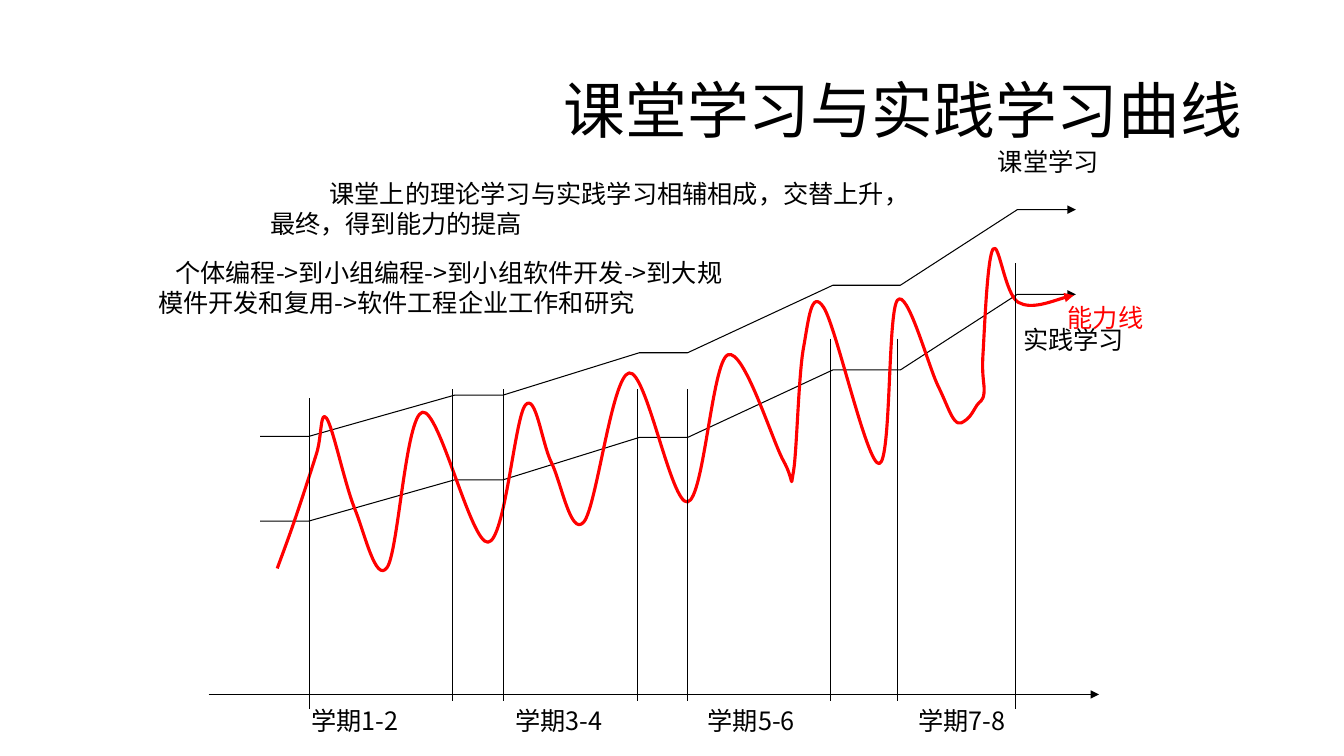
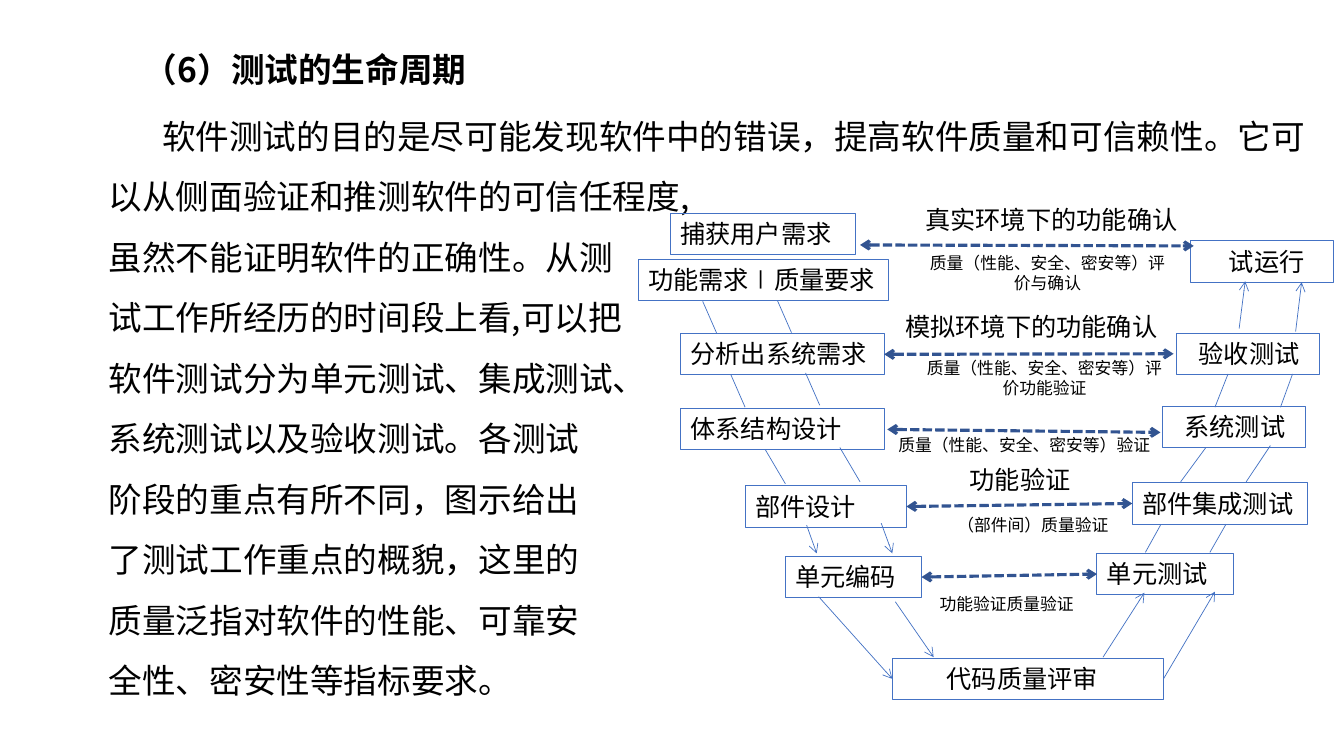
import pptx
import pptx.dml.color
import pptx.enum.dml
import pptx.enum.shapes
import pptx.enum.text
import pptx.oxml.ns
import pptx.util
from lxml import etree

Inches = pptx.util.Inches
Pt = pptx.util.Pt
qn = pptx.oxml.ns.qn
ALIGN = pptx.enum.text.PP_ALIGN
ANCHOR = pptx.enum.text.MSO_ANCHOR
COLORS = {"black": "000000", "red": "FF0000", "blue": "4472C4", "navy": "325491"}
FONT = "Noto Sans CJK SC"
RIGHT, LEFT = 3, 1


def rgb(name):
    return pptx.dml.color.RGBColor.from_string(COLORS[name])


def write(tf, text, size=18, color="black", bold=False, align=ALIGN.LEFT,
          spacing=None, margin=0, indent=0):
    """Fill tf with one paragraph per line; margin and indent apply to the first."""
    for i, line in enumerate(text.split("\n")):
        p = tf.paragraphs[0] if i == 0 else tf.add_paragraph()
        p.alignment = align
        if spacing:
            p.line_spacing = spacing
        if i == 0 and (margin or indent):
            pPr = p._p.get_or_add_pPr()
            pPr.set("marL", str(Inches(margin)))
            pPr.set("indent", str(Inches(indent)))
        r = p.add_run()
        r.text = line
        r.font.size = Pt(size)
        r.font.bold = bold
        r.font.color.rgb = rgb(color)
        r.font.name = FONT
        etree.SubElement(r._r.rPr, qn("a:ea")).set("typeface", FONT)


class Deck:
    """Shared style and the slide being drawn."""

    def __init__(self):
        self.prs = pptx.Presentation()
        self.prs.slide_width = Inches(13.33)
        self.prs.slide_height = Inches(7.5)
        self.s = None

    def slide(self):
        self.s = self.prs.slides.add_slide(self.prs.slide_layouts[6])

    def text(self, x, y, w, h, text, anchor=ANCHOR.TOP, wrap=True, **fmt):
        sp = self.s.shapes.add_textbox(Inches(x), Inches(y), Inches(w), Inches(h))
        tf = sp.text_frame
        tf.word_wrap = wrap
        tf.vertical_anchor = anchor
        write(tf, text, **fmt)

    def title(self, x, y, h, text, **fmt):
        self.text(x, y, 11.5, h, text, anchor=ANCHOR.MIDDLE, spacing=0.9, **fmt)

    def box(self, x, y, w, text, **fmt):
        sp = self.s.shapes.add_shape(pptx.enum.shapes.MSO_SHAPE.RECTANGLE,
                                     Inches(x), Inches(y), Inches(w), Inches(0.41))
        sp.shadow.inherit = False
        sp.fill.background()
        self.stroke(sp.line, "blue", 0.75)
        sp.text_frame.word_wrap = True
        sp.text_frame.vertical_anchor = ANCHOR.TOP
        write(sp.text_frame, text, **fmt)
        return sp

    def stroke(self, line, color, width, head=None, tail=None, dashed=False):
        line.color.rgb = rgb(color)
        line.width = Pt(width)
        if dashed:
            line.dash_style = pptx.enum.dml.MSO_LINE.SQUARE_DOT
        for tag, kind in (("a:headEnd", head), ("a:tailEnd", tail)):
            if kind:
                etree.SubElement(line._get_or_add_ln(), qn(tag)).set("type", kind)

    def line(self, x1, y1, x2, y2, color="black", width=0.75, begin=None, end=None, **ends):
        """Draw a straight line; begin and end are boxes joined at right and left."""
        cx = self.s.shapes.add_connector(pptx.enum.shapes.MSO_CONNECTOR.STRAIGHT,
                                         Inches(x1), Inches(y1), Inches(x2), Inches(y2))
        if begin:
            cx.begin_connect(begin, RIGHT)
        if end:
            cx.end_connect(end, LEFT)
        self.stroke(cx.line, color, width, **ends)
        etree.SubElement(cx._element.spPr, qn("a:effectLst"))

    def freeform(self, points, color, width, smooth=False):
        """Draw an open arrow through the points, as a spline if smooth."""
        pts = [(Inches(x), Inches(y)) for x, y in points]
        fb = self.s.shapes.build_freeform(*pts[0])
        fb.add_line_segments(pts[1:], close=False)
        sp = fb.convert_to_shape()
        sp.shadow.inherit = False
        sp.fill.background()
        self.stroke(sp.line, color, width, tail="triangle")
        if smooth:
            self.bend(sp)

    def bend(self, sp):
        """Turn line segments into Catmull-Rom Bezier segments."""
        knots = [(int(pt.get("x")), int(pt.get("y")))
                 for pt in sp._element.iter(qn("a:pt"))]
        padded = [knots[0]] + knots + [knots[-1]]
        segments = list(sp._element.iter(qn("a:lnTo")))
        for seg, p0, p1, p2, p3 in zip(segments, padded, padded[1:], padded[2:], padded[3:]):
            c1 = [b + (c - a) / 6 for a, b, c in zip(p0, p1, p2)]
            c2 = [b - (c - a) / 6 for a, b, c in zip(p1, p2, p3)]
            curve = etree.Element(qn("a:cubicBezTo"))
            for x, y in (c1, c2, p2):
                etree.SubElement(curve, qn("a:pt"), x=str(round(x)), y=str(round(y)))
            seg.getparent().replace(seg, curve)


def learning_curves(d):
    d.slide()
    d.title(0.92, 0.4, 1.45, "课堂学习与实践学习曲线", size=44, align=ALIGN.RIGHT)

    steps = [(2.58, 4.33), (3.06, 4.33), (4.51, 3.92), (4.99, 3.92), (6.34, 3.5),
             (6.82, 3.5), (8.26, 2.83), (8.93, 2.83), (10.09, 2.08), (10.67, 2.08)]
    for drop in (0.84, 0):
        d.freeform([(x, y + drop) for x, y in steps], "black", 0.75)

    ability = [
        (2.75, 5.64), (2.92, 5.17), (3.14, 4.5), (3.24, 4.15), (3.52, 5.05),
        (3.84, 5.63), (4.19, 4.09), (4.84, 5.38), (5.21, 4.02), (5.47, 4.59),
        (5.79, 5.18), (6.24, 3.7), (6.82, 4.98), (7.22, 3.52), (7.77, 4.57),
        (7.87, 4.68), (7.97, 3.45), (8.17, 3.05), (8.72, 4.6), (8.9, 2.98),
        (9.3, 3.82), (9.47, 4.17), (9.59, 4.16), (9.69, 4.02), (9.76, 3.9),
        (9.75, 3.51), (9.85, 2.47), (10.1, 3), (10.65, 2.93)]
    d.freeform(ability, "red", 2.25, smooth=True)

    d.text(9.8, 1.4, 1.37, 0.4, "课堂学习")
    d.text(10.05, 3.17, 1.62, 0.4, "实践学习")
    d.text(10.49, 2.95, 0.95, 0.4, "能力线", color="red", wrap=False)
    d.text(2.58, 1.72, 6.95, 0.71,
           "课堂上的理论学习与实践学习相辅相成，交替上升，\n最终，得到能力的提高", indent=0.59)
    d.text(1.09, 2.5, 6.33, 0.7,
           "个体编程->到小组编程->到小组软件开发->到大规模件开发和复用->软件工程企业工作和研究",
           margin=0.38, indent=0.17)

    d.line(2.07, 6.89, 10.9, 6.89, tail="triangle")
    for x, top, bottom in [(3.07, 3.95, 7.03), (4.49, 3.86, 6.95), (4.99, 3.86, 6.95),
                           (6.32, 3.86, 6.95), (6.82, 3.86, 6.95), (8.24, 3.36, 6.95),
                           (8.9, 3.36, 6.95), (10.07, 2.61, 7.03)]:
        d.line(x, top, x, bottom)
    for i, x in enumerate((2.99, 5.01, 6.92, 9.01)):
        d.text(x, 6.95, 1.42, 0.4, f"学期{2 * i + 1}-{2 * i + 2}")


def test_life_cycle(d):
    d.slide()
    d.title(1.33, 0.31, 0.81, "（6）测试的生命周期", size=24, bold=True)
    d.text(0.98, 0.9, 12.14, 6.16,
           "软件测试的目的是尽可能发现软件中的错误，提高软件质量和可信赖性。"
           "它可以从侧面验证和推测软件的可信任程度,\n"
           "虽然不能证明软件的正确性。从测\n"
           "试工作所经历的时间段上看,可以把\n"
           "软件测试分为单元测试、集成测试、\n"
           "系统测试以及验收测试。各测试\n"
           "阶段的重点有所不同，图示给出\n"
           "了测试工作重点的概貌，这里的\n"
           "质量泛指对软件的性能、可靠安\n"
           "全性、密安性等指标要求。", size=24, spacing=1.5, indent=0.53)

    stages = [
        (6.65, 2.12, 1.84, "捕获用户需求", 0), (6.33, 2.57, 2.48, "功能需求∣质量要求", 0),
        (6.75, 3.31, 2.02, "分析出系统需求", 0), (6.75, 4.05, 2.02, "体系结构设计", 0),
        (7.39, 4.82, 1.6, "部件设计", 0), (7.79, 5.52, 1.35, "单元编码", 0),
        (8.85, 6.53, 2.69, "代码质量评审", 0.44), (10.88, 5.49, 1.35, "单元测试", 0),
        (11.23, 4.79, 1.74, "部件集成测试", 0), (11.53, 4.03, 1.42, "系统测试", 0.12),
        (11.67, 3.31, 1.42, "验收测试", 0.12), (11.81, 2.39, 1.42, "试运行", 0.28)]
    boxes = {text: d.box(x, y, w, text, indent=indent) for x, y, w, text, indent in stages}

    flow = {"color": "blue", "width": 0.5}
    for ends in [(6.97, 2.99, 7.11, 3.31), (7.71, 2.98, 7.85, 3.3),
                 (7.25, 3.72, 7.39, 4.04), (7.99, 3.7, 8.13, 4.02),
                 (7.59, 4.46, 7.79, 4.8), (8.33, 4.44, 8.53, 4.78),
                 (11.36, 5.48, 11.51, 5.21), (12, 5.48, 12.16, 5.2),
                 (11.71, 4.78, 11.96, 4.44), (12.36, 4.78, 12.6, 4.42),
                 (12.05, 4.04, 12.18, 3.71), (12.7, 4.04, 12.82, 3.71)]:
        d.line(*ends, **flow)
    for ends in [(8, 5.21, 8.1, 5.49), (8.74, 5.19, 8.85, 5.49),
                 (8.88, 5.97, 9.26, 6.52), (10.94, 6.52, 11.35, 5.88),
                 (12.29, 3.26, 12.35, 2.79), (12.85, 3.29, 12.91, 2.8)]:
        d.line(*ends, tail="arrow", **flow)
    review = boxes["代码质量评审"]
    d.line(8.12, 5.92, 8.85, 6.73, end=review, tail="arrow", **flow)
    d.line(11.53, 6.73, 12.05, 5.87, begin=review, tail="arrow", **flow)

    for x1, y1, x2, y2, begin, end in [
            (8.53, 2.43, 11.84, 2.44, None, None),
            (8.78, 3.5, 11.64, 3.51, "分析出系统需求", None),
            (8.8, 4.26, 11.51, 4.29, None, None),
            (9.01, 5.01, 11.23, 4.99, "部件设计", "部件集成测试"),
            (9.15, 5.73, 10.89, 5.7, "单元编码", "单元测试")]:
        d.line(x1, y1, x2, y2, "navy", 2.25, boxes.get(begin), boxes.get(end),
               head="arrow", tail="arrow", dashed=True)

    for x, y, text, indent in [(9.08, 1.98, "真实环境下的功能确认", 0),
                               (8.88, 3.04, "模拟环境下的功能确认", 0),
                               (9.08, 4.56, "功能验证", 0.44)]:
        d.text(x, y, 2.76, 0.4, text, indent=indent)
    for x, y, w, h, text in [
            (8.81, 2.46, 3.16, 0.5, "质量（性能、安全、密安等）评\n价与确认"),
            (8.78, 3.5, 3.16, 0.5, "质量（性能、安全、密安等）评\n价功能验证"),
            (8.58, 4.26, 3.16, 0.3, "质量（性能、安全、密安等）验证"),
            (9.26, 5.06, 1.97, 0.3, "（部件间）质量验证"),
            (9, 5.84, 1.97, 0.3, "功能验证质量验证")]:
        d.text(x, y, w, h, text, size=12, align=ALIGN.CENTER)


def main():
    d = Deck()
    learning_curves(d)
    test_life_cycle(d)
    d.prs.save("out.pptx")


if __name__ == "__main__":
    main()
